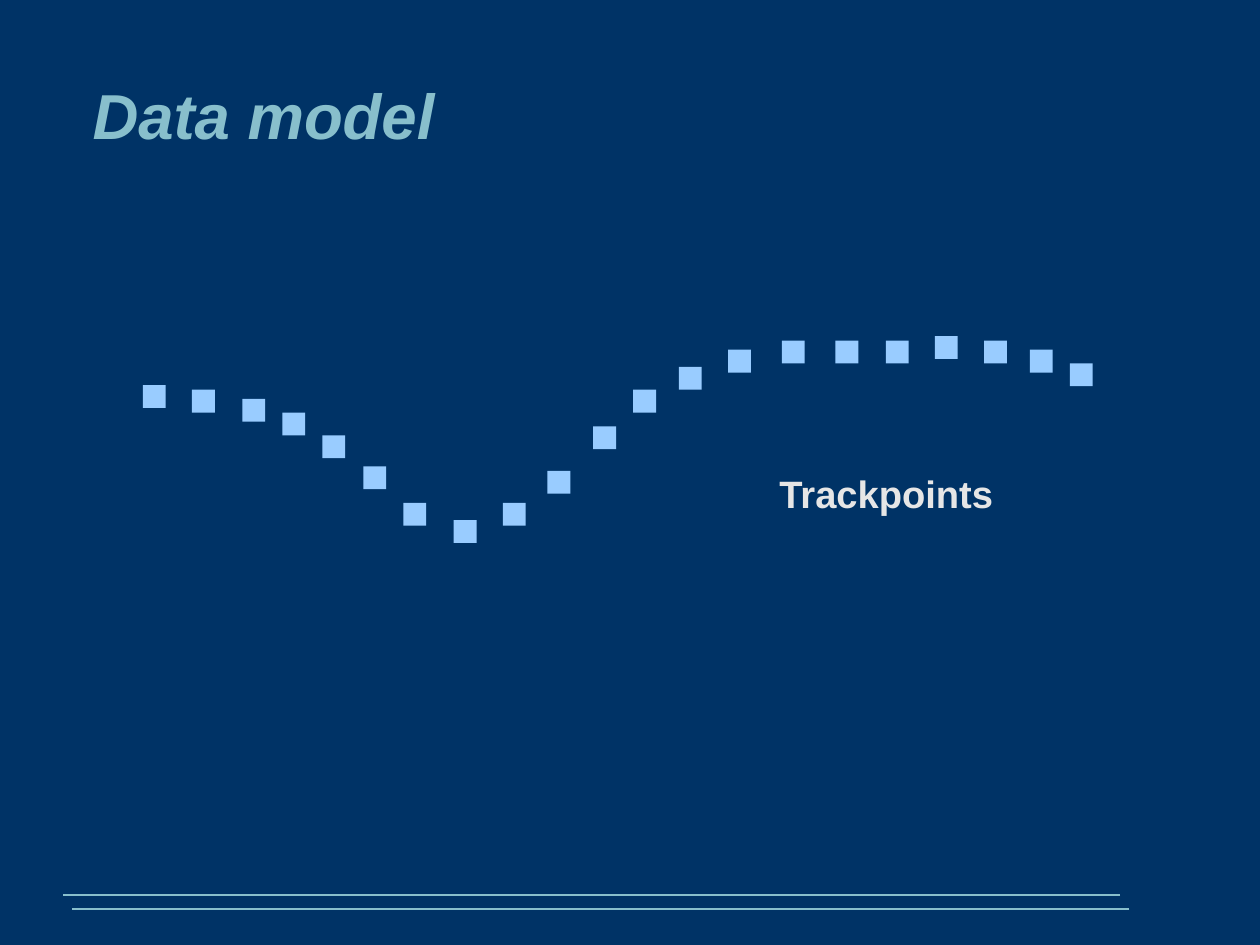
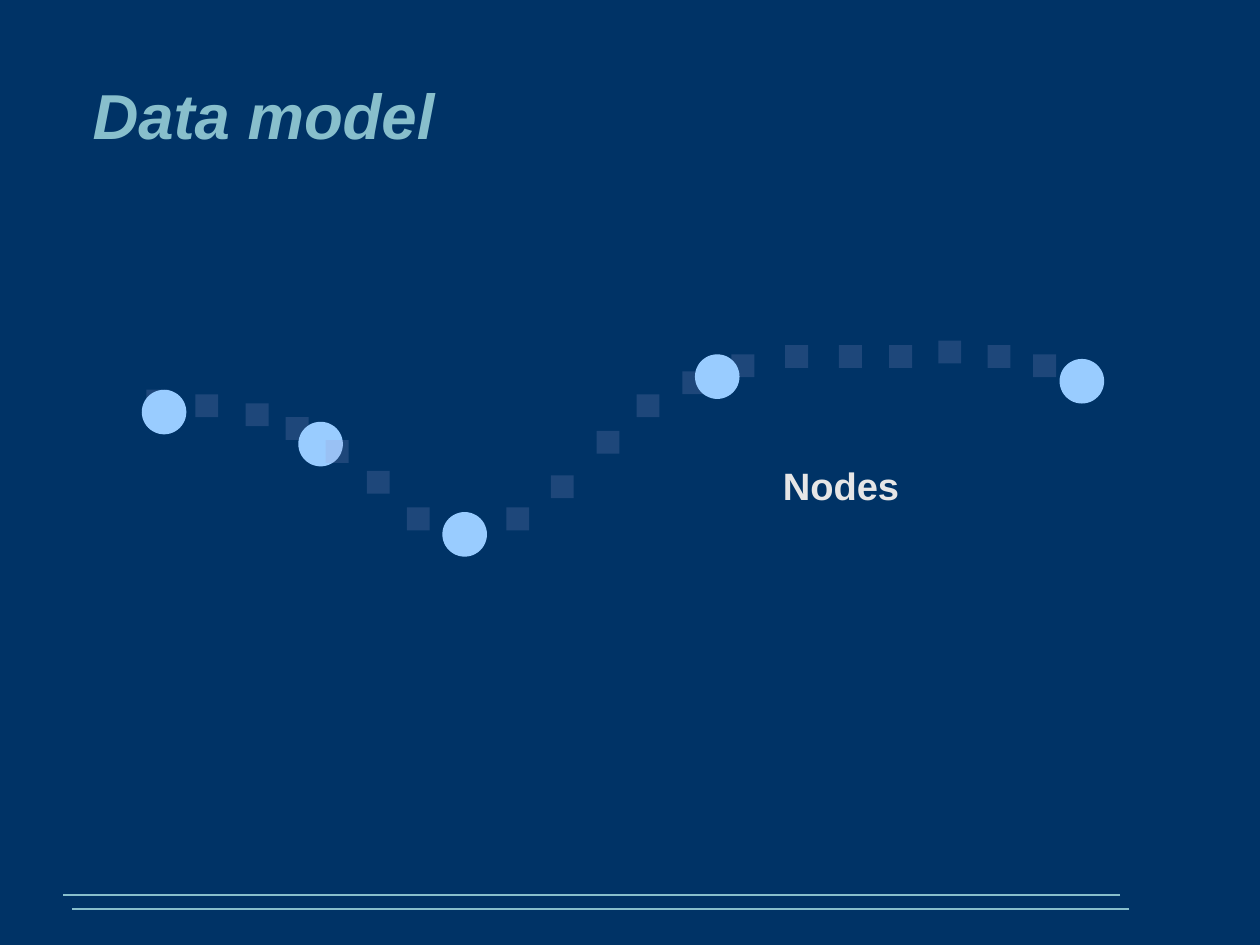
from lxml import etree
from pptx import Presentation
from pptx import util as u
from pptx.dml.color import RGBColor
from pptx.enum import shapes, text
from pptx.oxml.ns import qn

WIDTH_CM, HEIGHT_CM = 28, 21
NAVY, TEAL, SKY, LILAC, PALE = "003366", "88BFCC", "99CCFF", "9999CC", "E6E6E6"
FONT = "Arial"
TITLE = "Data model"
TITLE_BOX = (0.81, 0.31, 9.41, 1.38)
RULES = [(0.55, 7.83), (0.63, 7.95)]
RULE_LENGTH = 9.25
SQUARE, CIRCLE = 0.2, 0.39

TRACK = [
    (1.25, 3.37), (1.68, 3.41), (2.12, 3.49), (2.47, 3.61), (2.82, 3.81),
    (3.18, 4.08), (3.53, 4.4), (3.97, 4.55), (4.4, 4.4), (4.79, 4.12),
    (5.19, 3.73), (5.54, 3.41), (5.94, 3.21), (6.37, 3.06), (6.84, 2.98),
    (7.31, 2.98), (7.75, 2.98), (8.18, 2.94), (8.61, 2.98), (9.01, 3.06),
    (9.36, 3.18),
]
NODES = {0: (1.24, 3.41), 3: (2.61, 3.69), 7: (3.87, 4.48),
         13: (6.08, 3.1), 20: (9.27, 3.14)}
SLIDES = [
    {"label": "Trackpoints", "box": (6.72, 4.07, 2.07, 0.6),
     "shift": (0, 0), "color": SKY, "opacity": 100, "nodes": {}},
    {"label": "Nodes", "box": (6.75, 4, 1.22, 0.6),
     "shift": (0.03, 0.04), "color": LILAC, "opacity": 20, "nodes": NODES},
]


def rgb(color):
    return RGBColor.from_string(color)


def inches(*values):
    return [u.Inches(value) for value in values]


def style_font(paragraph, size, color, italic=False):
    font = paragraph.font
    font.name, font.size = FONT, u.Pt(size)
    font.bold, font.italic = True, italic
    font.color.rgb = rgb(color)
    paragraph.alignment = text.PP_ALIGN.LEFT


def add_marker(slide, kind, position, size, color, opacity=100):
    shape = slide.shapes.add_shape(kind, *inches(*position, size, size))
    shape.shadow.inherit = False
    shape.line.fill.background()
    shape.fill.solid()
    shape.fill.fore_color.rgb = rgb(color)
    if opacity < 100:
        value = shape.element.spPr.find(".//" + qn("a:srgbClr"))
        etree.SubElement(value, qn("a:alpha"), val=str(opacity * 1000))


def set_up_layout(presentation):
    master = presentation.slide_master
    master.background.fill.solid()
    master.background.fill.fore_color.rgb = rgb(NAVY)
    layout = presentation.slide_layouts.get_by_name("Title Only")
    title = layout.placeholders[0]
    title.left, title.top, title.width, title.height = inches(*TITLE_BOX)
    frame = title.text_frame
    frame.margin_left = frame.margin_right = frame.margin_top = frame.margin_bottom = 0
    frame.vertical_anchor = text.MSO_ANCHOR.MIDDLE
    return layout


def add_master_rules(presentation, slide):
    for left, top in RULES:
        rule = slide.shapes.add_connector(
            shapes.MSO_CONNECTOR.STRAIGHT, *inches(left + RULE_LENGTH, top, left, top))
        rule.line.color.rgb = rgb(TEAL)
        rule.line.width = u.Pt(1.13)
        etree.SubElement(rule.element.spPr, qn("a:effectLst"))
        presentation.slide_master.shapes.element.append(rule.element)


def add_track_slide(presentation, layout, content):
    slide = presentation.slides.add_slide(layout)
    slide.shapes.title.text = TITLE
    style_font(slide.shapes.title.text_frame.paragraphs[0], 40, TEAL, True)
    across, down = content["shift"]
    for index, (left, top) in enumerate(TRACK):
        add_marker(slide, shapes.MSO_SHAPE.RECTANGLE, (left + across, top + down),
                   SQUARE, content["color"], content["opacity"])
        if index in content["nodes"]:
            add_marker(slide, shapes.MSO_SHAPE.OVAL, content["nodes"][index], CIRCLE, SKY)
    label = slide.shapes.add_textbox(*inches(*content["box"])).text_frame
    label.text = content["label"]
    style_font(label.paragraphs[0], 24, PALE)
    return slide


def main():
    presentation = Presentation()
    presentation.slide_width = u.Cm(WIDTH_CM)
    presentation.slide_height = u.Cm(HEIGHT_CM)
    layout = set_up_layout(presentation)
    slides = [add_track_slide(presentation, layout, content) for content in SLIDES]
    add_master_rules(presentation, slides[0])
    presentation.save("out.pptx")


if __name__ == "__main__":
    main()
